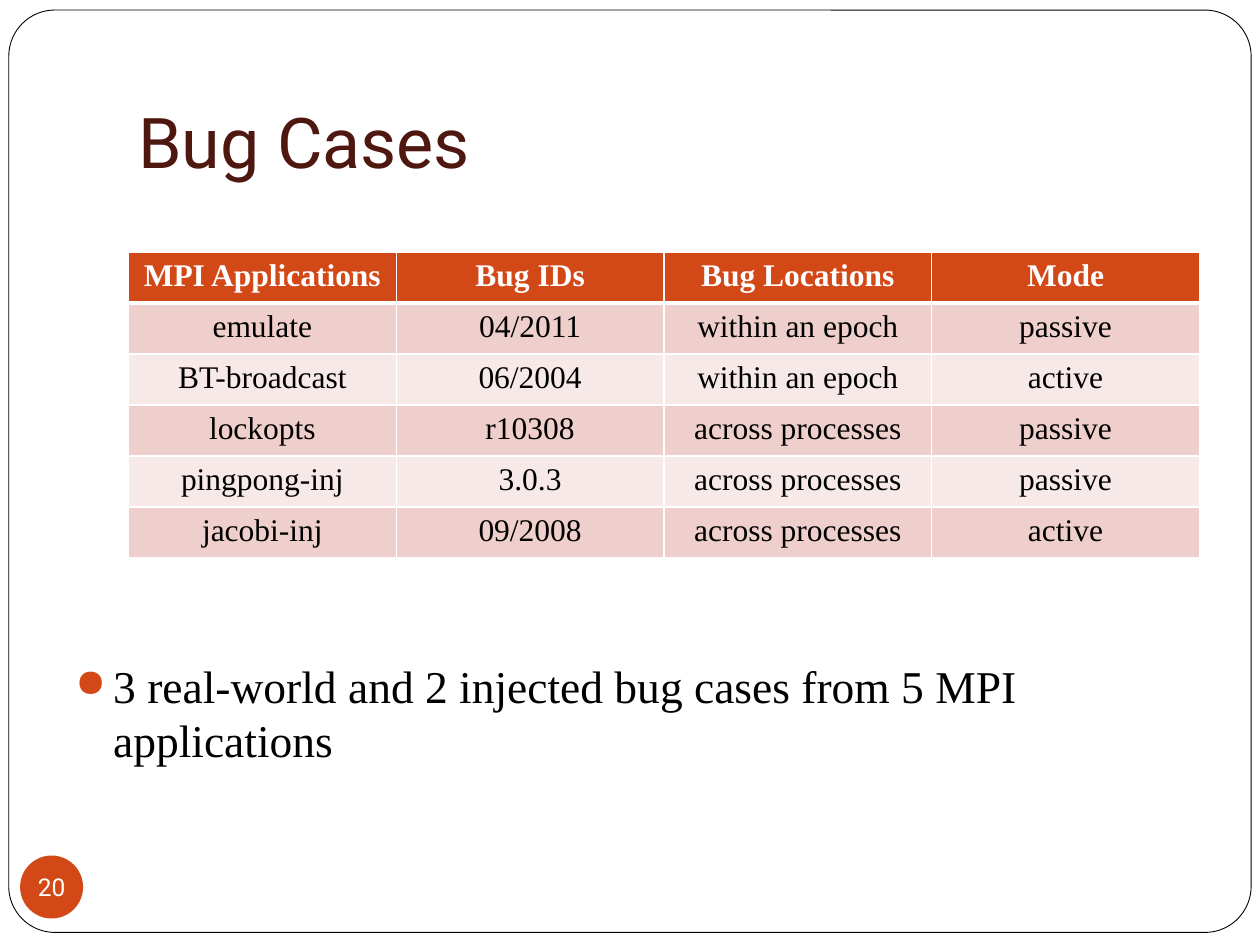
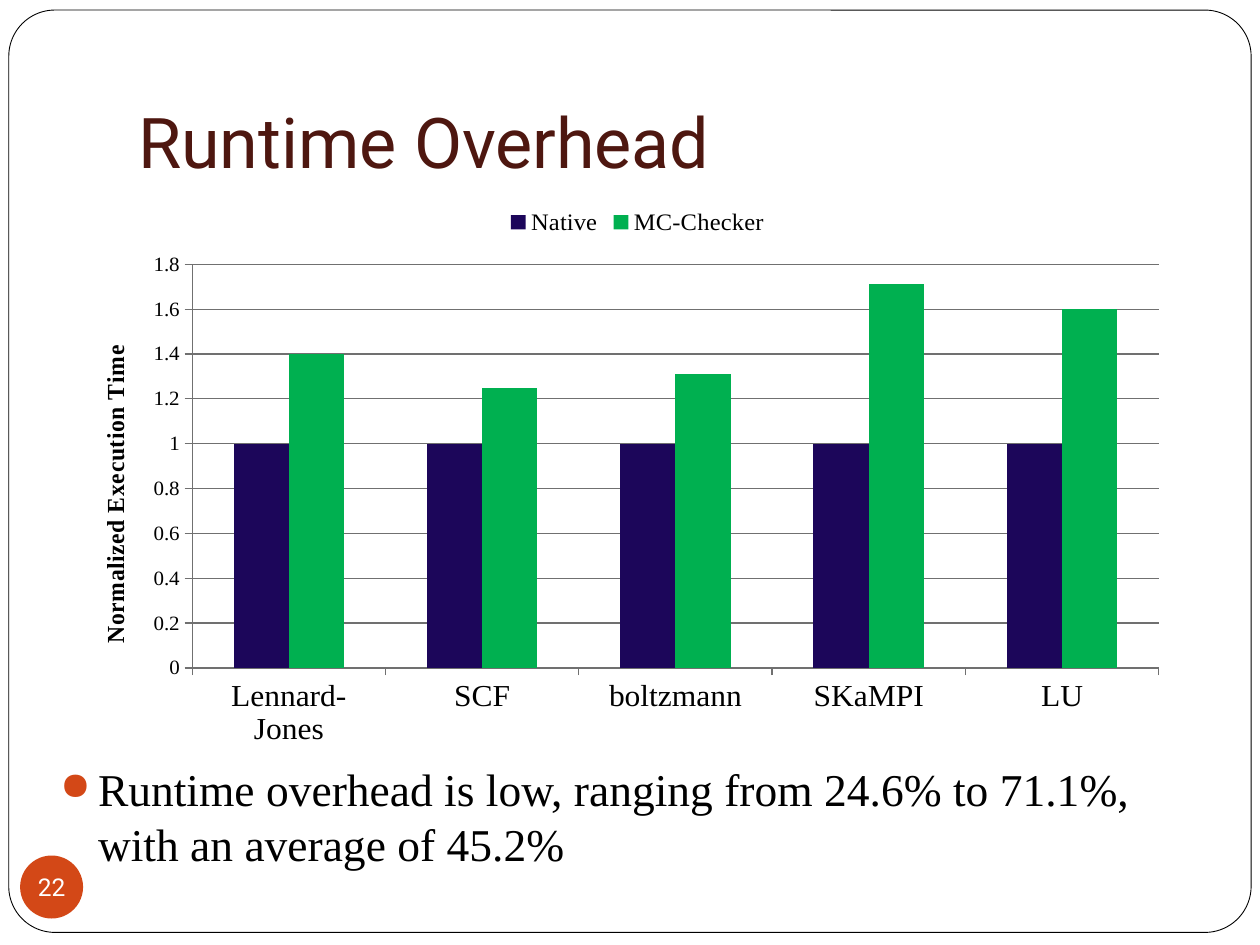
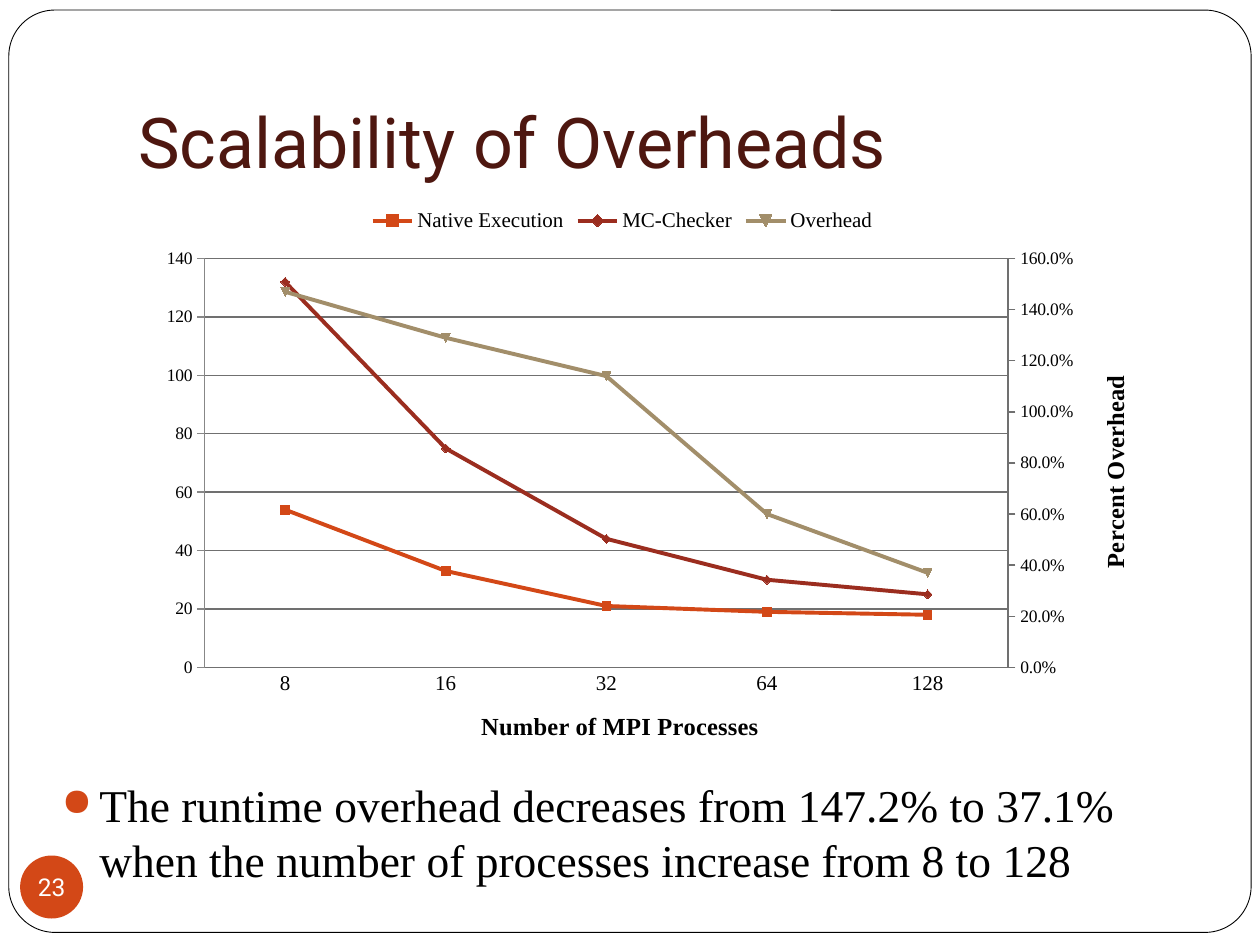
from copy import deepcopy
from dataclasses import dataclass

from lxml import etree
from pptx import Presentation
from pptx.chart.axis import ValueAxis
from pptx.chart.data import CategoryChartData
from pptx.dml.color import RGBColor
from pptx.enum.chart import XL_CHART_TYPE, XL_LEGEND_POSITION, XL_TICK_MARK
from pptx.enum.shapes import MSO_SHAPE
from pptx.enum.text import MSO_ANCHOR, PP_ALIGN
from pptx.oxml import parse_xml
from pptx.oxml.ns import nsdecls, qn
from pptx.util import Pt

EMU_PER_PX = 9144  # 100 px to the inch
COLUMNS = XL_CHART_TYPE.COLUMN_CLUSTERED
LINES = XL_CHART_TYPE.LINE_MARKERS
LEGEND_TOP = XL_LEGEND_POSITION.TOP
TICK_OUT, TICK_NONE = XL_TICK_MARK.OUTSIDE, XL_TICK_MARK.NONE
CENTER = PP_ALIGN.CENTER
BOTTOM, MIDDLE = MSO_ANCHOR.BOTTOM, MSO_ANCHOR.MIDDLE


@dataclass(frozen=True)
class Theme:
    head_font: str = "Roboto"
    body_font: str = "Times New Roman"
    white: str = "FFFFFF"
    black: str = "000000"
    title: str = "4E1710"
    accent: str = "D34817"
    band_dark: str = "EFCFCC"
    band_light: str = "F7E9E8"
    grid: str = "707070"
    native_bar: str = "1C065A"
    checker_bar: str = "00B050"
    checker_line: str = "9B2D1F"
    overhead_line: str = "A28E6A"
    title_size: int = 40
    body_size: int = 26
    table_size: int = 18
    number_size: int = 14
    axis_title_size: int = 14


THEME = Theme()


def px(length):
    return length * EMU_PER_PX


def rgb(color):
    return RGBColor.from_string(color)


def set_font(font, name, size, color, bold=False):
    font.name, font.size, font.bold = name, Pt(size), bold
    font.color.rgb = rgb(color)


def set_body_font(font, size, color=THEME.black, bold=False):
    set_font(font, THEME.body_font, size, color, bold)


def paint(target, color):
    target.fill.solid()
    target.fill.fore_color.rgb = rgb(color)


def add_plain_shape(page, kind, left, top, width, height, color):
    shape = page.shapes.add_shape(kind, px(left), px(top), px(width), px(height))
    shape.shadow.inherit = False
    paint(shape, color)
    return shape


def add_frame(page):
    frame = add_plain_shape(page, MSO_SHAPE.ROUNDED_RECTANGLE, 7, 8, 986, 732, THEME.white)
    frame.adjustments[0] = 0.05
    frame.line.color.rgb = rgb(THEME.black)
    frame.line.width = Pt(0.5)


def add_title(page, text):
    box = page.shapes.add_textbox(px(100), px(30), px(850), px(125))
    text_frame = box.text_frame
    text_frame.word_wrap = True
    text_frame.vertical_anchor = BOTTOM
    text_frame.margin_bottom = px(10)
    para = text_frame.paragraphs[0]
    para.text = text
    set_font(para.font, THEME.head_font, THEME.title_size, THEME.title)


def add_page_number(page, number):
    badge = add_plain_shape(page, MSO_SHAPE.OVAL, 16, 679, 50, 50, THEME.accent)
    badge.line.fill.background()
    text_frame = badge.text_frame
    text_frame.word_wrap = False
    text_frame.vertical_anchor = MIDDLE
    text_frame.margin_left = text_frame.margin_right = 0
    text_frame.margin_top = text_frame.margin_bottom = 0
    para = text_frame.paragraphs[0]
    para.text, para.alignment = str(number), CENTER
    set_font(para.font, THEME.head_font, THEME.number_size, THEME.white)


def add_page(deck, title, number):
    page = deck.slides.add_slide(deck.slide_layouts[6])
    add_frame(page)
    add_title(page, title)
    add_page_number(page, number)
    return page


def add_bullet(page, left, top, text):
    box = page.shapes.add_textbox(px(left), px(top), px(900), px(92))
    box.text_frame.word_wrap = True
    para = box.text_frame.paragraphs[0]
    para.text = text
    properties = para._p.get_or_add_pPr()
    properties.set("marL", str(px(30)))
    properties.set("indent", str(-px(30)))
    color = etree.SubElement(properties, qn("a:buClr"))
    etree.SubElement(color, qn("a:srgbClr"), val=THEME.accent)
    etree.SubElement(properties, qn("a:buSzPct"), val="85000")
    etree.SubElement(properties, qn("a:buChar"), char="●")
    set_body_font(para.font, THEME.body_size)


def add_border(cell, side, width):
    cell._tc.get_or_add_tcPr().append(parse_xml(
        f'<a:{side} {nsdecls("a")} w="{Pt(width)}"><a:solidFill>'
        f'<a:srgbClr val="{THEME.white}"/></a:solidFill></a:{side}>'))


def add_grid_table(page, left, top, width, height, rows):
    """Table with a header row, banded body rows and a thick rule under the header."""
    column_count = len(rows[0])
    table = page.shapes.add_table(
        len(rows), column_count, px(left), px(top), px(width), px(height)).table
    for column in table.columns:
        column.width = px(width) // column_count
    for row_index, values in enumerate(rows):
        table.rows[row_index].height = px(height) // len(rows)
        is_header = row_index == 0
        band = THEME.band_dark if row_index % 2 else THEME.band_light
        for column_index, value in enumerate(values):
            cell = table.cell(row_index, column_index)
            add_border(cell, "lnL", 1)
            add_border(cell, "lnR", 1)
            add_border(cell, "lnT", 3 if row_index == 1 else 1)
            add_border(cell, "lnB", 3 if is_header else 1)
            paint(cell, THEME.accent if is_header else band)
            para = cell.text_frame.paragraphs[0]
            para.text, para.alignment = value, CENTER
            set_body_font(para.font, THEME.table_size,
                          THEME.white if is_header else THEME.black, is_header)


def style_axis(axis, size, tick, title=None, number_format=None):
    axis.major_tick_mark, axis.minor_tick_mark = tick, TICK_NONE
    axis.format.line.color.rgb = rgb(THEME.grid)
    set_body_font(axis.tick_labels.font, size)
    if number_format:
        axis.tick_labels.number_format = number_format
        axis.tick_labels.number_format_is_linked = False
    axis.has_title = title is not None
    if title:
        para = axis.axis_title.text_frame.paragraphs[0]
        para.text = title
        set_body_font(para.font, THEME.axis_title_size, bold=True)


def set_scale(axis, maximum, step):
    axis.minimum_scale, axis.maximum_scale, axis.major_unit = 0, maximum, step


def set_inner_plot(chart, left, top, width, height):
    """Place the plot's inner area, in fractions of the chart."""
    plot_area = chart.element.find(".//" + qn("c:plotArea"))
    for old_layout in plot_area.findall(qn("c:layout")):
        plot_area.remove(old_layout)
    layout = etree.Element(qn("c:layout"))
    manual = etree.SubElement(layout, qn("c:manualLayout"))
    settings = {"layoutTarget": "inner", "xMode": "edge", "yMode": "edge",
                "x": left, "y": top, "w": width, "h": height}
    for name, value in settings.items():
        etree.SubElement(manual, qn("c:" + name), val=str(value))
    plot_area.insert(0, layout)


def add_chart(page, kind, bounds, categories, series, legend_size):
    data = CategoryChartData()
    data.categories = categories
    for name, values in series:
        data.add_series(name, values)
    chart = page.shapes.add_chart(kind, *map(px, bounds), data).chart
    set_body_font(chart.font, 10)
    chart.has_title = False
    chart.has_legend = True
    chart.legend.position = LEGEND_TOP
    chart.legend.include_in_layout = False
    set_body_font(chart.legend.font, legend_size)
    chart.plots[0].vary_by_categories = False
    chart.value_axis.has_major_gridlines = True
    chart.value_axis.major_gridlines.format.line.color.rgb = rgb(THEME.grid)
    return chart


def move_last_series_to_right_axis(chart):
    """Give the last series its own line plot and return that plot's value axis."""
    left_plot = chart.element.find(".//" + qn("c:lineChart"))
    right_plot = deepcopy(left_plot)
    left_plot.addnext(right_plot)
    left_plot.remove(left_plot.findall(qn("c:ser"))[-1])
    for series in right_plot.findall(qn("c:ser"))[:-1]:
        right_plot.remove(series)

    category_id, value_id = "50010", "50020"
    for reference, axis_id in zip(right_plot.findall(qn("c:axId")), (category_id, value_id)):
        reference.set("val", axis_id)
    left_value = chart.value_axis._element
    category, value = deepcopy(chart.category_axis._element), deepcopy(left_value)
    left_value.addnext(value)
    value.addnext(category)
    for axis, own_id, cross_id in ((category, category_id, value_id),
                                   (value, value_id, category_id)):
        axis.find(qn("c:axId")).set("val", own_id)
        axis.find(qn("c:crossAx")).set("val", cross_id)
    category.find(qn("c:delete")).set("val", "1")
    value.find(qn("c:axPos")).set("val", "r")
    value.find(qn("c:crosses")).set("val", "max")
    right_axis = ValueAxis(value)
    right_axis.has_major_gridlines = False
    return right_axis


def add_runtime_chart(page):
    chart = add_chart(
        page, COLUMNS, (75, 155, 862, 437),
        ["Lennard-Jones", "SCF", "boltzmann", "SKaMPI", "LU"],
        [("Native", [1, 1, 1, 1, 1]), ("MC-Checker", [1.4, 1.25, 1.31, 1.71, 1.6])], 14)
    set_inner_plot(chart, 0.09, 0.13, 0.89, 0.76)
    style_axis(chart.category_axis, 18, TICK_OUT)
    style_axis(chart.value_axis, 12, TICK_OUT, "Normalized Execution Time", "General")
    set_scale(chart.value_axis, 1.8, 0.2)
    plot = chart.plots[0]
    plot.gap_width, plot.overlap = 150, 0
    for series, color in zip(plot.series, (THEME.native_bar, THEME.checker_bar)):
        paint(series.format, color)


def add_scalability_chart(page):
    chart = add_chart(
        page, LINES, (69, 155, 850, 457), ["8", "16", "32", "64", "128"],
        [("Native Execution", [54, 33, 21, 19, 18]),
         ("MC-Checker", [132, 75, 44, 30, 25]),
         ("Overhead", [1.47, 1.29, 1.14, 0.6, 0.37])], 12)
    set_inner_plot(chart, 0.11, 0.11, 0.75, 0.71)
    right_axis = move_last_series_to_right_axis(chart)
    style_axis(chart.category_axis, 12, TICK_NONE, "Number of MPI Processes")
    style_axis(chart.value_axis, 12, TICK_NONE, "Execution Time (sec)", "#,##0")
    style_axis(right_axis, 10, TICK_OUT, "Percent Overhead", "0.0%")
    set_scale(chart.value_axis, 140, 20)
    set_scale(right_axis, 1.6, 0.2)
    all_series = [series for plot in chart.plots for series in plot.series]
    colors = (THEME.accent, THEME.checker_line, THEME.overhead_line)
    for series, color in zip(all_series, colors):
        series.smooth = False
        series.format.line.color.rgb = rgb(color)
        series.format.line.width = Pt(2.25)
        paint(series.marker.format, color)
        series.marker.format.line.color.rgb = rgb(color)


def main():
    deck = Presentation()
    deck.slide_width, deck.slide_height = px(1000), px(750)

    bug_page = add_page(deck, "Bug Cases", 20)
    add_grid_table(bug_page, 102, 200, 850, 243, [
        ("MPI Applications", "Bug IDs", "Bug Locations", "Mode"),
        ("emulate", "04/2011", "within an epoch", "passive"),
        ("BT-broadcast", "06/2004", "within an epoch", "active"),
        ("lockopts", "r10308", "across processes", "passive"),
        ("pingpong-inj", "3.0.3", "across processes", "passive"),
        ("jacobi-inj", "09/2008", "across processes", "active"),
    ])
    add_bullet(bug_page, 50, 517, "3 real-world and 2 injected bug cases from 5 MPI applications")

    runtime_page = add_page(deck, "Runtime Overhead", 22)
    add_bullet(runtime_page, 38, 599, "Runtime overhead is low, ranging from 24.6% to 71.1%, "
                                      "with an average of 45.2%")
    add_runtime_chart(runtime_page)

    scalability_page = add_page(deck, "Scalability of Overheads", 23)
    add_bullet(scalability_page, 39, 612, "The runtime overhead decreases from 147.2% to 37.1% "
                                          "when the number of processes increase from 8 to 128")
    add_scalability_chart(scalability_page)

    deck.save("out.pptx")


if __name__ == "__main__":
    main()
